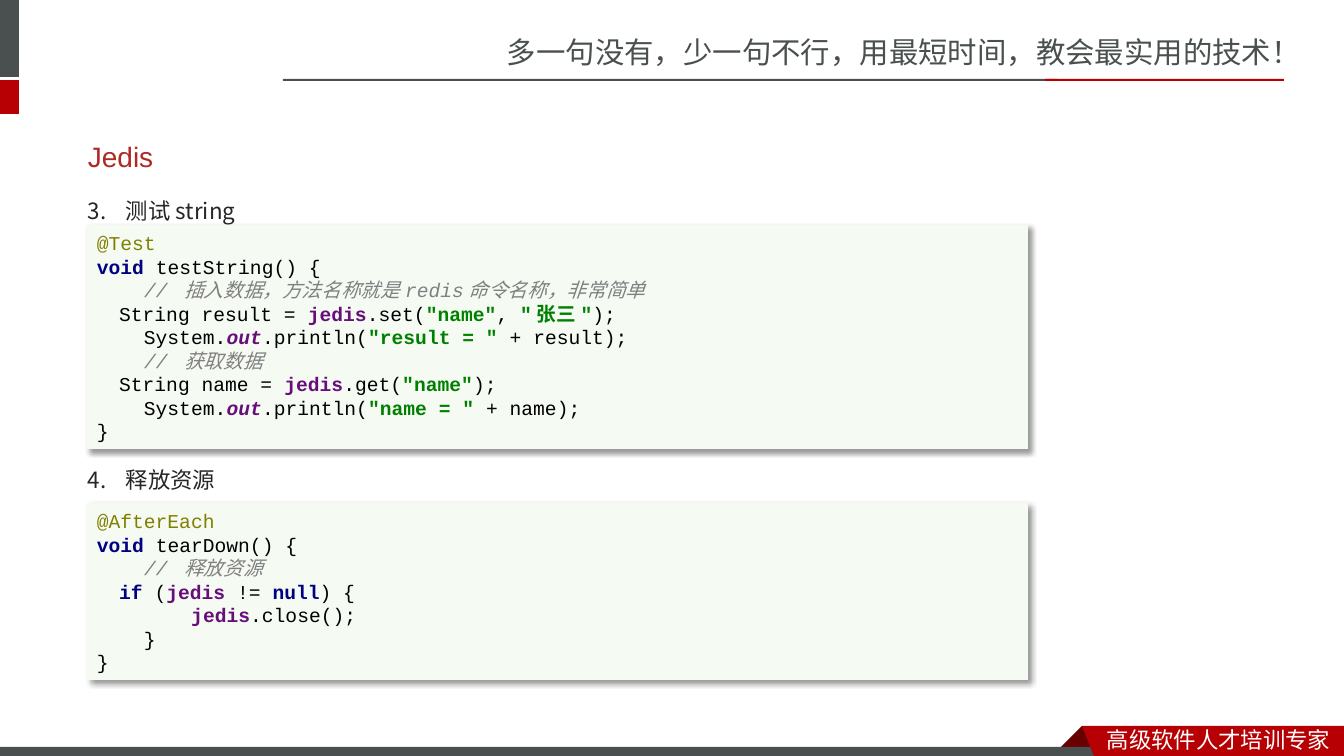
from lxml import etree
from pptx import Presentation
from pptx import util as u
from pptx.dml import color
from pptx.enum import shapes, text
from pptx.oxml import ns

CJK = "Noto Sans CJK SC"
GREY, RED = "49504F", "B60004"
STYLES = {
    "plain": ("000000", False, False),
    "annotation": ("808000", False, False),
    "keyword": ("000080", True, False),
    "comment": ("808080", False, True),
    "field": ("660E7A", True, False),
    "static": ("660E7A", True, True),
    "string": ("008000", True, False),
}
TEST_CODE = [
    ("annotation", "@Test\n"), ("keyword", "void "),
    ("plain", "testString() {\n    "),
    ("comment", "// 插入数据，方法名称就是redis命令名称，非常简单\n    "),
    ("plain", "String result = "), ("field", "jedis"), ("plain", ".set("),
    ("string", '"name"'), ("plain", ", "), ("string", '"张三"'),
    ("plain", ");\n    System."), ("static", "out"), ("plain", ".println("),
    ("string", '"result = " '), ("plain", "+ result);\n    "),
    ("comment", "// 获取数据\n    "), ("plain", "String name = "),
    ("field", "jedis"), ("plain", ".get("), ("string", '"name"'),
    ("plain", ");\n    System."), ("static", "out"), ("plain", ".println("),
    ("string", '"name = " '), ("plain", "+ name);\n}"),
]
CLOSE_CODE = [
    ("annotation", "@AfterEach\n"), ("keyword", "void "),
    ("plain", "tearDown() {\n    "), ("comment", "// 释放资源\n    "),
    ("keyword", "if "), ("plain", "("), ("field", "jedis "), ("plain", "!= "),
    ("keyword", "null"), ("plain", ") {\n        "), ("field", "jedis"),
    ("plain", ".close();\n    }\n}"),
]


def px(length):
    return u.Emu(round(length * 914400 / 100.8))


def rgb(value):
    return color.RGBColor.from_string(value)


def style(span, size, face, ink, bold=False, italic=False):
    font = span.font
    font.size, font.name, font.bold, font.italic = u.Pt(size), face, bold, italic
    font.color.rgb = rgb(ink)
    east = etree.Element(ns.qn("a:ea"), typeface=CJK)
    font._element.find(ns.qn("a:latin")).addnext(east)


def paint(shape, fill):
    shape.shadow.inherit = False
    shape.fill.solid()
    shape.fill.fore_color.rgb = rgb(fill)
    shape.line.fill.background()
    return shape


def add_block(page, left, top, width, height, fill):
    block = page.shapes.add_shape(
        shapes.MSO_SHAPE.RECTANGLE, px(left), px(top), px(width), px(height))
    return paint(block, fill)


def add_outline(page, points, fill):
    builder = page.shapes.build_freeform(px(points[0][0]), px(points[0][1]))
    builder.add_line_segments([(px(x), px(y)) for x, y in points[1:]])
    paint(builder.convert_to_shape(), fill)


def add_label(page, left, top, width, height, words, size, face, ink):
    box = page.shapes.add_textbox(px(left), px(top), px(width), px(height))
    frame = box.text_frame
    frame.word_wrap = True
    frame.vertical_anchor = text.MSO_ANCHOR.MIDDLE
    frame.text = words
    para = frame.paragraphs[0]
    style(para.runs[0], size, face, ink)
    return para


def add_step(page, left, top, width, height, number, words):
    para = add_label(page, left, top, width, height, words, 16,
                     "Noto Sans CJK JP", "262626")
    props = para._p.get_or_add_pPr()
    props.set("marL", str(px(38)))
    props.set("indent", str(px(-38)))
    etree.SubElement(props, ns.qn("a:buAutoNum"), type="arabicPeriod",
                     startAt=str(number))


def add_shadow(shape):
    effects = shape._element.spPr.find(ns.qn("a:effectLst"))
    shadow = etree.SubElement(
        effects, ns.qn("a:outerShdw"), blurRad=str(u.Pt(4)), dist=str(u.Pt(3)),
        dir="2700000", algn="tl", rotWithShape="0")
    tint = etree.SubElement(shadow, ns.qn("a:srgbClr"), val="000000")
    etree.SubElement(tint, ns.qn("a:alpha"), val="40000")


def add_code(page, left, top, width, height, code):
    panel = add_block(page, left, top, width, height, "F5FAF3")
    add_shadow(panel)
    frame = panel.text_frame
    frame.word_wrap = True
    frame.vertical_anchor = text.MSO_ANCHOR.MIDDLE
    para = frame.paragraphs[0]
    para.alignment = text.PP_ALIGN.LEFT
    for kind, words in code:
        for index, piece in enumerate(words.split("\n")):
            if index:
                para.add_line_break()
            if piece:
                span = para.add_run()
                span.text = piece
                style(span, 14, "Courier New", *STYLES[kind])
    for line_break in para._p.findall(ns.qn("a:br")):
        etree.SubElement(line_break, ns.qn("a:rPr"), sz="1400")


def add_header(page, left, top, width):
    add_block(page, left, top, 19, 77, GREY)
    add_block(page, left, top + 80, 19, 34, RED)
    right = left + width - 60
    add_block(page, left + 283, top + 79, 774, 2, GREY)
    add_block(page, right - 239, top + 79, 239, 2, RED)
    add_label(page, left + 497, top + 28, 847, 47,
              "多一句没有，少一句不行，用最短时间，教会最实用的技术！", 21, CJK, GREY)


def add_footer(page, left, top, width, height):
    right, bottom = left + width, top + height
    fold, edge = right - 262, right - 240
    add_outline(page, [(fold, top), (edge, top + 22), (edge - 1, top + 23),
                       (fold - 21, top + 23), (fold - 22, top + 22)], "680000")
    add_block(page, left, bottom - 9, edge - left, 9, GREY)
    add_outline(page, [(fold, top), (right, top), (right, bottom),
                       (right - 250, bottom)], RED)
    add_label(page, right - 247, top - 5, 247, 37, "高级软件人才培训专家",
              16, CJK, "FFFFFF")


def add_lesson(page, left, top, width):
    add_label(page, left, top, width, 44, "Jedis", 20, "Arial", "AD2A26")
    steps = [(3, "测试string", 57, 91, 224, TEST_CODE),
             (4, "释放资源", 326, 369, 177, CLOSE_CODE)]
    for number, words, step_top, code_top, code_height, code in steps:
        add_step(page, left, top + step_top, width, 40, number, words)
        add_code(page, left + 9, top + code_top, 941, code_height, code)


def main():
    deck = Presentation()
    deck.slide_width, deck.slide_height = px(1344), px(756)
    page = deck.slides.add_slide(deck.slide_layouts[6])
    add_header(page, 0, 0, 1344)
    add_footer(page, 0, 726, 1344, 30)
    add_lesson(page, 78, 134, 1180)
    deck.save("out.pptx")


if __name__ == "__main__":
    main()
